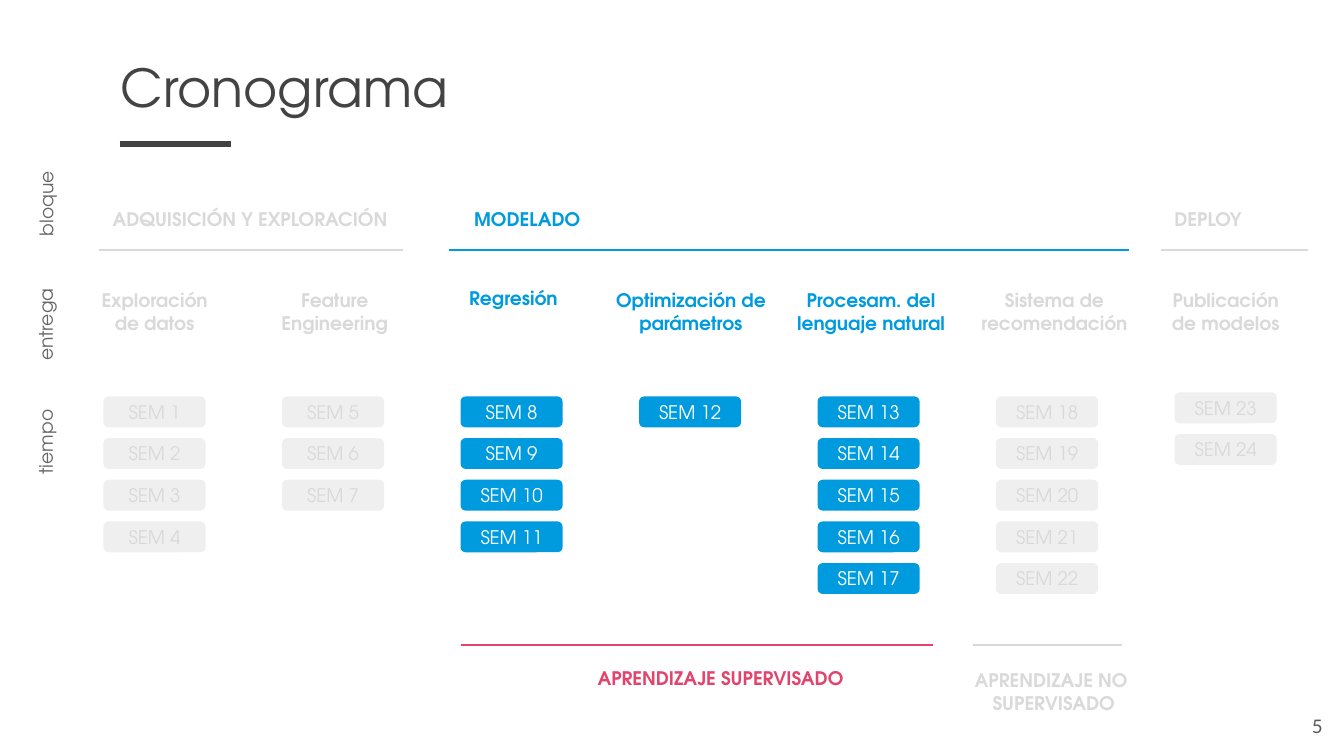
"""Build the project schedule slide with its blocks, deliverables and weeks."""
from lxml.etree import SubElement
from pptx import Presentation
from pptx.dml.color import RGBColor
from pptx.enum.shapes import MSO_CONNECTOR, MSO_SHAPE
from pptx.enum.text import MSO_ANCHOR, PP_ALIGN
from pptx.oxml.ns import qn
from pptx.util import Inches, Pt

COLORS = {
    "gray": "D9D9D9", "pale": "EFEFEF", "blue": "009BDE", "pink": "E1446D",
    "white": "FFFFFF", "dark": "434343", "label": "666666", "number": "595959",
}
ALIGN = {"l": PP_ALIGN.LEFT, "c": PP_ALIGN.CENTER, "r": PP_ALIGN.RIGHT}


def rgb(name):
    return RGBColor.from_string(COLORS[name])


def add_text(text, left, top, width, height, color="gray", size=10, bold=False, align="l",
             font="TeX Gyre Adventor", fill=None, middle=False, rotation=0, after=0):
    box = [Inches(v) for v in (left, top, width, height)]
    if fill:
        sp = s.shapes.add_shape(MSO_SHAPE.ROUNDED_RECTANGLE, *box)
        sp.shadow.inherit = False
        sp.fill.solid()
        sp.fill.fore_color.rgb = rgb(fill)
        sp.line.fill.background()
    else:
        sp = s.shapes.add_textbox(*box)
    sp.rotation = rotation
    tf = sp.text_frame
    tf.word_wrap = True
    tf.vertical_anchor = MSO_ANCHOR.MIDDLE if middle else MSO_ANCHOR.TOP
    tf.margin_left = tf.margin_right = tf.margin_top = tf.margin_bottom = Inches(0.1)
    tf.text = text
    for p in tf.paragraphs:
        p.alignment = ALIGN[align]
        p.space_after = Pt(after)
        for r in p.runs:
            r.font.name = font
            r.font.size = Pt(size)
            r.font.bold = bold
            r.font.color.rgb = rgb(color)


prs = Presentation()
prs.slide_width, prs.slide_height = Inches(10), Inches(5.625)
s = prs.slides.add_slide(prs.slide_layouts[6])

add_text("Cronograma", 0.8, 0.31, 7.38, 0.59, color="dark", size=28)
add_text("5", 9.34, 5.19, 0.6, 0.43, color="number", font="Lato", align="r", middle=True)

rules = [
    (0.89, 1.72, 1.07, "dark", 3),
    (0.74, 3, 1.86, "gray", 1.5),
    (3.34, 8.4, 1.86, "blue", 1.5),
    (8.64, 9.73, 1.86, "gray", 1.5),
    (3.43, 6.94, 4.8, "pink", 1.5),
    (7.24, 8.35, 4.8, "gray", 1.5),
]
for x1, x2, y, color, weight in rules:
    line = s.shapes.add_connector(
        MSO_CONNECTOR.STRAIGHT, Inches(x1), Inches(y), Inches(x2), Inches(y))
    line.line.color.rgb = rgb(color)
    line.line.width = Pt(weight)
    SubElement(line._element.spPr, qn("a:effectLst"))

for label, left, top, width, align in [
    ("bloque", -0.06, 1.39, 0.7, "l"),
    ("entrega", -0.22, 2.44, 1.01, "r"),
    ("tiempo", -0.22, 3.34, 1.01, "r"),
]:
    add_text(label, left, top, width, 0.23, color="label", align=align, rotation=270, after=10)

for block, left, width, color in [
    ("ADQUISICIÓN Y EXPLORACIÓN", 0.74, 2.35, "gray"),
    ("MODELADO", 3.43, 2.35, "blue"),
    ("DEPLOY", 8.64, 1.09, "gray"),
]:
    add_text(block, left, 1.46, width, 0.23, color=color, bold=True, after=10)

deliverables = [
    ("Exploración de datos", 0.55, 1.2, 4, 2.95, False),
    ("Feature Engineering", 1.89, 1.2, 3, 2.95, False),
    ("Regresión", 3.22, 1.2, 4, 2.95, True),
    ("Optimización de parámetros", 4.45, 1.38, 1, 2.95, True),
    ("Procesam. del lenguaje natural", 5.79, 1.38, 5, 2.95, True),
    ("Sistema de recomendación", 7.2, 1.29, 5, 2.95, False),
    ("Publicación de modelos", 8.52, 1.2, 2, 2.92, False),
]
column_step = (8.74 - 0.77) / (len(deliverables) - 1)
week = 1
for col, (name, left, width, weeks, top, active) in enumerate(deliverables):
    add_text(name, left, 2.05, width, 0.53, color="blue" if active else "gray",
             bold=True, align="c", after=10)
    for row in range(weeks):
        add_text(f"SEM {week}", 0.77 + col * column_step, top + row * 0.31, 0.76, 0.23,
                 color="white" if active else "gray", fill="blue" if active else "pale",
                 align="c", middle=True)
        week += 1

add_text("APRENDIZAJE SUPERVISADO", 4.09, 4.88, 2.54, 0.29, color="pink", bold=True,
         align="c", after=10)
add_text("APRENDIZAJE NO \nSUPERVISADO", 6.57, 4.88, 2.54, 0.29, bold=True, align="c")

prs.save("out.pptx")
